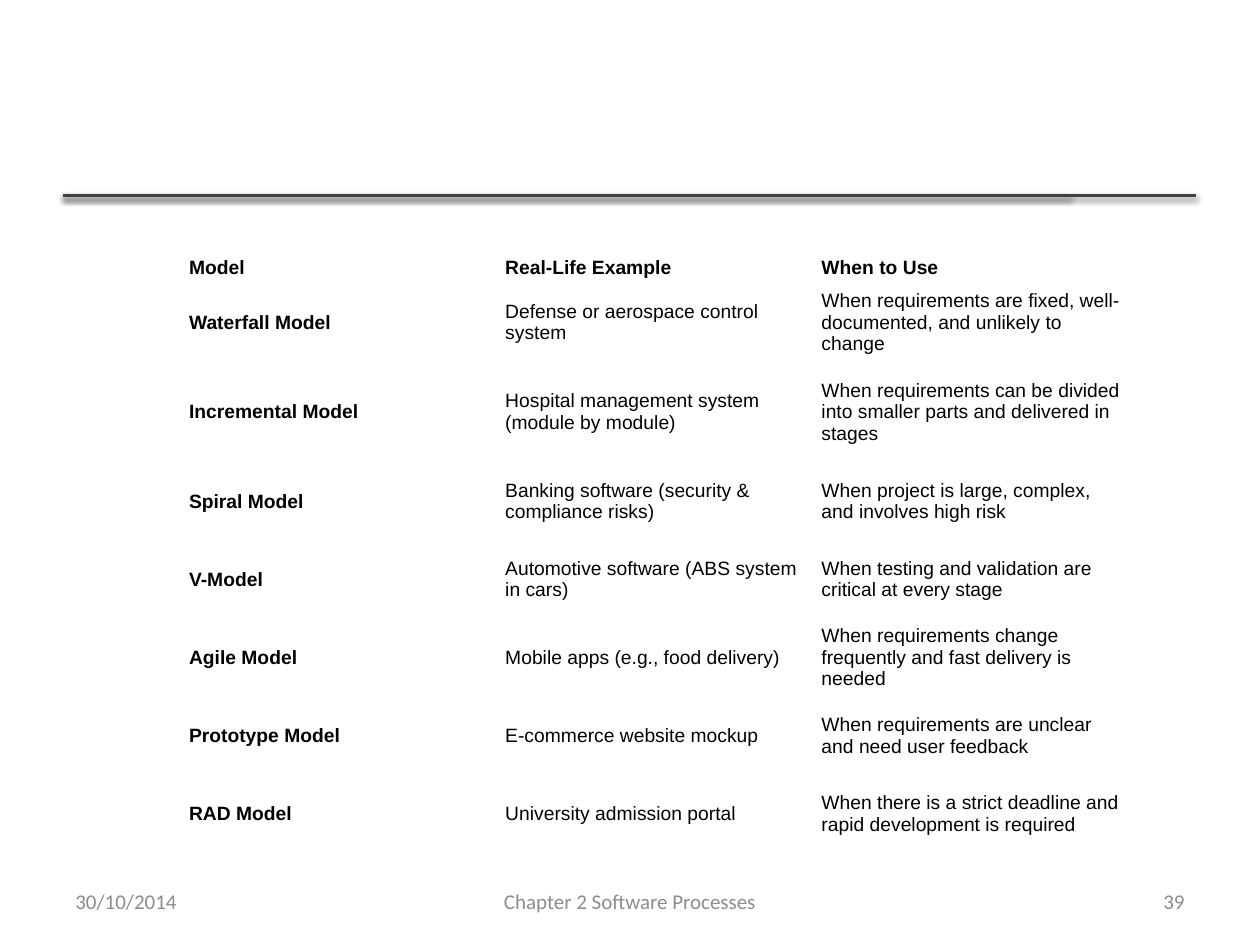
from dataclasses import dataclass

from lxml import etree
from pptx import Presentation
from pptx import util as u
from pptx.dml.color import RGBColor
from pptx.enum import shapes, text
from pptx.oxml import ns


@dataclass(frozen=True)
class Theme:
    ink: RGBColor = RGBColor(0, 0, 0)
    rule: RGBColor = RGBColor(0x40, 0x40, 0x40)
    muted: RGBColor = RGBColor(0x8C, 0x8C, 0x8C)
    body: str = "Arial"
    small: str = "Calibri"
    cell: u.Pt = u.Pt(11)
    foot: u.Pt = u.Pt(12)


THEME = Theme()
ROWS = [
    ("Model", "Real-Life Example", "When to Use"),
    ("Waterfall Model", "Defense or aerospace control system",
     "When requirements are fixed, well-documented, and unlikely to change"),
    ("Incremental Model", "Hospital management system (module by module)",
     "When requirements can be divided into smaller parts and delivered in stages"),
    ("Spiral Model", "Banking software (security & compliance risks)",
     "When project is large, complex, and involves high risk"),
    ("V-Model", "Automotive software (ABS system in cars)",
     "When testing and validation are critical at every stage"),
    ("Agile Model", "Mobile apps (e.g., food delivery)",
     "When requirements change frequently and fast delivery is needed"),
    ("Prototype Model", "E-commerce website mockup",
     "When requirements are unclear and need user feedback"),
    ("RAD Model", "University admission portal",
     "When there is a strict deadline and rapid development is required"),
]
HEIGHTS = [0.25, 0.62, 0.8] + [0.62] * 5


def add_run(para, words, face, size, color, bold=False):
    run = para.add_run()
    run.text = words
    font = run.font
    font.name, font.size, font.bold = face, size, bold
    font.color.rgb = color


def add_shadow(line):
    """Give a connector a soft shadow straight below it."""
    def sub(parent, tag, **attrs):
        return etree.SubElement(parent, ns.qn(tag), **attrs)

    props = line._element.spPr
    outer = sub(sub(props, "a:effectLst"), "a:outerShdw", blurRad="40000",
                dist="20000", dir="5400000", rotWithShape="0")
    color = sub(outer, "a:srgbClr", val="000000")
    sub(color, "a:alpha", val="38000")


def add_rules(slide, left, top, widths):
    for width in widths:
        line = slide.shapes.add_connector(
            shapes.MSO_CONNECTOR.STRAIGHT, u.Inches(left), u.Inches(top),
            u.Inches(left + width), u.Inches(top))
        line.line.color.rgb = THEME.rule
        line.line.width = u.Pt(2)
        add_shadow(line)


def add_models(slide, left, top, width):
    cols = len(ROWS[0])
    frame = slide.shapes.add_table(
        len(ROWS), cols, u.Inches(left), u.Inches(top),
        u.Inches(width), u.Inches(sum(HEIGHTS)))
    table = frame.table
    table.first_row = table.horz_banding = False
    for col in table.columns:
        col.width = u.Inches(width / cols)
    for r, (words, height) in enumerate(zip(ROWS, HEIGHTS)):
        table.rows[r].height = u.Inches(height)
        for c, word in enumerate(words):
            cell = table.cell(r, c)
            cell.fill.background()
            cell.vertical_anchor = text.MSO_ANCHOR.MIDDLE
            cell.margin_left = cell.margin_right = u.Inches(0.06)
            cell.margin_top = cell.margin_bottom = u.Inches(0.03)
            add_run(cell.text_frame.paragraphs[0], word, THEME.body,
                    THEME.cell, THEME.ink, bold=r == 0 or c == 0)


def add_footer(slide, left, top, width, height):
    side, mid = 2.33, 3.17
    align = text.PP_ALIGN
    parts = [
        ("30/10/2014", 0, side, align.LEFT),
        ("Chapter 2 Software Processes", (width - mid) / 2, mid, align.CENTER),
        ("39", width - side, side, align.RIGHT),
    ]
    for words, x, span, way in parts:
        box = slide.shapes.add_textbox(
            u.Inches(left + x), u.Inches(top), u.Inches(span), u.Inches(height))
        frame = box.text_frame
        frame.word_wrap = True
        frame.vertical_anchor = text.MSO_ANCHOR.MIDDLE
        para = frame.paragraphs[0]
        para.alignment = way
        add_run(para, words, THEME.small, THEME.foot, THEME.muted)


def main():
    deck = Presentation()
    deck.slide_width, deck.slide_height = u.Inches(10), u.Inches(7.5)
    slide = deck.slides.add_slide(deck.slide_layouts[6])
    add_rules(slide, 0.5, 1.55, (7.99, 8.99))
    add_footer(slide, 0.5, 6.95, 9, 0.4)
    add_models(slide, 1.44, 2, 7.53)
    deck.save("out.pptx")


if __name__ == "__main__":
    main()
